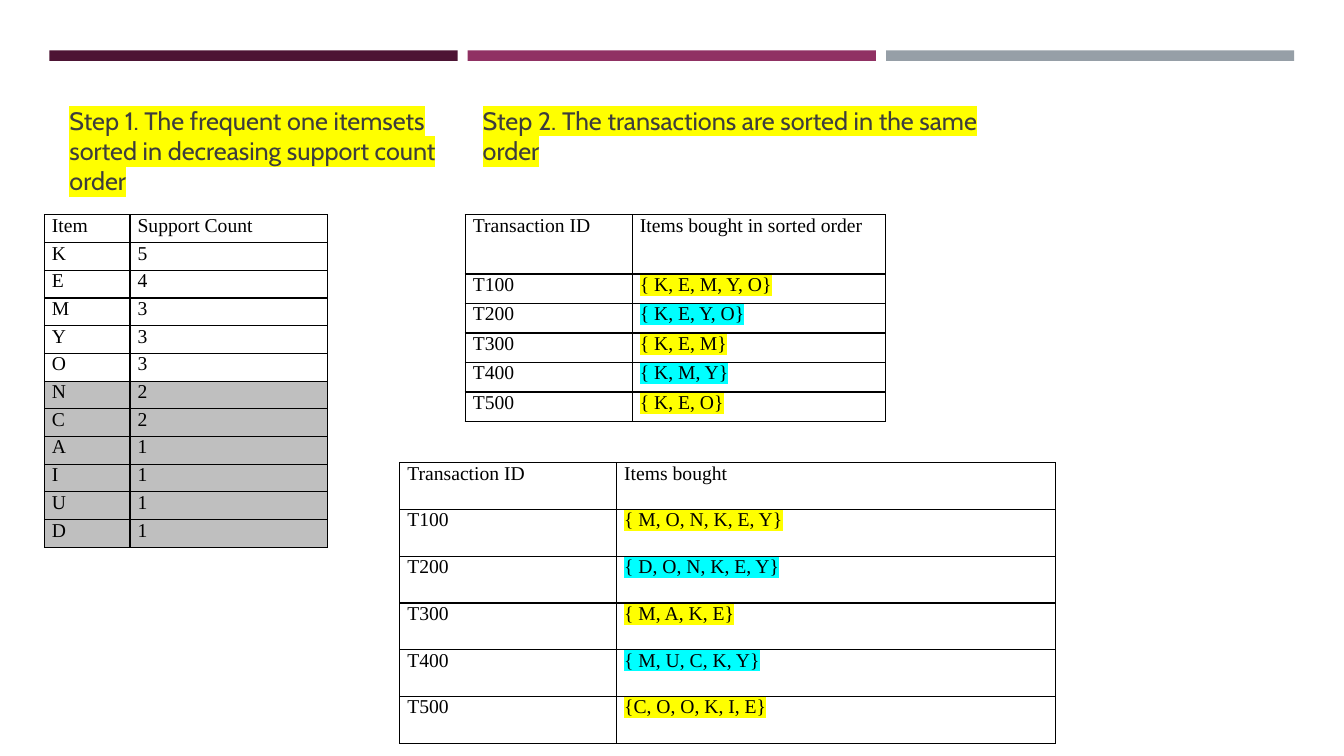
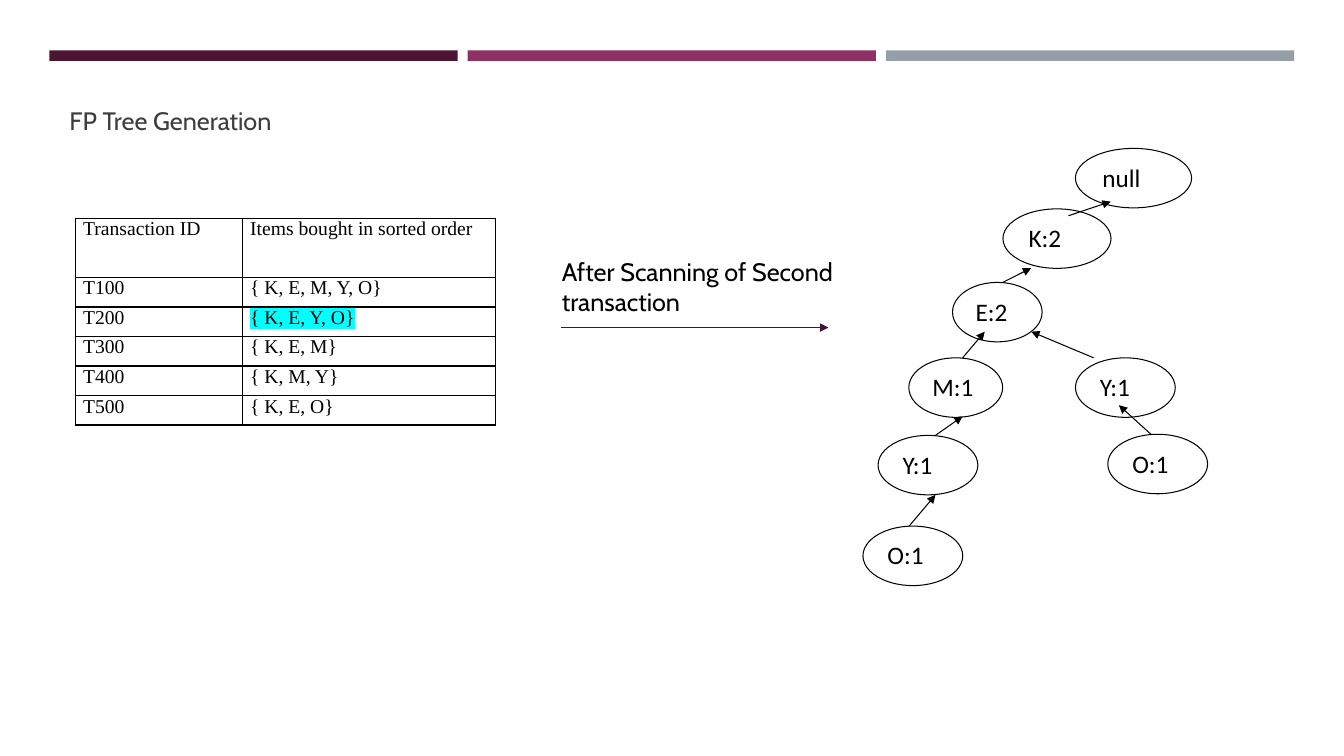
"""Build two slides on FP-tree growth: sorted itemsets and the tree after two scans."""
import pptx
import pptx.dml.color
import pptx.enum.shapes
import pptx.enum.text
import pptx.oxml
import pptx.oxml.ns
import pptx.util

Pt = pptx.util.Pt
RGB = pptx.dml.color.RGBColor
qn = pptx.oxml.ns.qn
SHAPE = pptx.enum.shapes.MSO_SHAPE
LINE = pptx.enum.shapes.MSO_CONNECTOR.STRAIGHT
LEFT = pptx.enum.text.PP_ALIGN.LEFT
TOP = pptx.enum.text.MSO_ANCHOR.TOP
FIXED = pptx.enum.text.MSO_AUTO_SIZE.NONE
NS = pptx.oxml.ns.nsdecls("a")

BLACK = RGB(0x00, 0x00, 0x00)
WHITE = RGB(0xFF, 0xFF, 0xFF)
DARK = RGB(0x3D, 0x3D, 0x3D)
GREY = RGB(0xBF, 0xBF, 0xBF)
PLUM = RGB(0x45, 0x12, 0x2F)
YELLOW = RGB(0xFF, 0xFF, 0x00)
CYAN = RGB(0x00, 0xFF, 0xFF)
BANDS = [RGB(0x4D, 0x14, 0x34), RGB(0x90, 0x31, 0x63), RGB(0x96, 0x9F, 0xA7)]

HEAD, SERIF, SANS = "Cabin", "Times New Roman", "Calibri"
LEFT_BOX = (42.4, 71.3, 295.2, 95.8)
RIGHT_BOX = (337.6, 71.3, 393.9, 95.8)

STEP_ONE = "Step 1. The frequent one itemsets sorted in decreasing support count order"
STEP_TWO = "Step 2. The transactions are sorted in the same order"
TREE_TITLE = "FP Tree Generation"
SCAN_NOTE = "After Scanning of Second transaction"

COUNTS = [
    ("Item", "Support Count"),
    ("K", "5"), ("E", "4"), ("M", "3"), ("Y", "3"), ("O", "3"), ("N", "2"),
    ("C", "2"), ("A", "1"), ("I", "1"), ("U", "1"), ("D", "1"),
]
SORTED = [
    ("Transaction ID", "Items bought in sorted order"),
    ("T100", "{ K, E, M, Y, O}"),
    ("T200", "{ K, E, Y, O}"),
    ("T300", "{ K, E, M}"),
    ("T400", "{ K, M, Y}"),
    ("T500", "{ K, E, O}"),
]
BOUGHT = [
    ("Transaction ID", "Items bought"),
    ("T100", "{ M, O, N, K, E, Y}"),
    ("T200", "{ D, O, N, K, E, Y}"),
    ("T300", "{ M, A, K, E}"),
    ("T400", "{ M, U, C, K, Y}"),
    ("T500", "{C, O, O, K, I, E}"),
]
STRIPES = {1: YELLOW, 2: CYAN, 3: YELLOW, 4: CYAN, 5: YELLOW}
SORT_COLS, SORT_ROWS = (119.3, 180.7), [42.2] + [21.1] * 5

NODE_H = 42.5
NODES = [
    ("null", 768.2, 106, 83),
    ("K:2", 716.4, 149.2, 77.2),
    ("E:2", 680.4, 201.7, 64),
    ("M:1", 649.2, 255.6, 67),
    ("Y:1", 627.2, 311, 71.3),
    ("O:1", 616.4, 375.8, 71.3),
    ("Y:1", 768.2, 255.6, 71.3),
    ("O:1", 791.3, 310.2, 71.3),
]
LINKS = [
    (763.2, 154.1, 793.4, 144),
    (716.4, 201.6, 736.6, 191.5),
    (687.6, 255.6, 703.4, 236.9),
    (668.2, 311, 687.6, 297.4),
    (649.4, 375.8, 668.2, 353.5),
    (822.2, 310.3, 799.2, 289.4),
    (781.2, 255.6, 736.6, 236.9),
]


def write(para, text, size, face, color=BLACK, mark=None):
    """Add one styled run, with an optional highlight."""
    para.alignment = LEFT
    run = para.add_run()
    run.text = text
    font = run.font
    font.size, font.bold = Pt(size), False
    font.color.rgb = color
    font.name = face
    if mark is not None:
        tint = pptx.oxml.parse_xml(
            f'<a:highlight {NS}><a:srgbClr val="{mark}"/></a:highlight>')
        run._r.get_or_add_rPr().find(qn("a:solidFill")).addnext(tint)


def place(shape, box):
    """Set the place and size of a shape."""
    shape.left, shape.top, shape.width, shape.height = map(Pt, box)


def head(holder, text, box, mark=None):
    """Fill a placeholder with a step heading."""
    place(holder, box)
    frame = holder.text_frame
    frame.word_wrap, frame.auto_size = True, FIXED
    frame.vertical_anchor = TOP
    para = frame.paragraphs[0]
    props = para._p.get_or_add_pPr()
    props.set("marL", "0")
    props.set("indent", "0")
    props.append(pptx.oxml.parse_xml(f"<a:buNone {NS}/>"))
    para.space_before, para.space_after = Pt(0), Pt(6)
    write(para, text, 18, HEAD, DARK, mark)


def edge(cell):
    """Draw a black line on each side of a cell."""
    props = cell._tc.get_or_add_tcPr()
    for pos, side in enumerate("LRTB"):
        props.insert(pos, pptx.oxml.parse_xml(
            f'<a:ln{side} {NS} w="{Pt(1)}"><a:solidFill>'
            f'<a:srgbClr val="{BLACK}"/></a:solidFill></a:ln{side}>'))


def grid(slide, left, top, cols, highs, rows, marks, shade=None):
    """Add a ruled table; rows from shade on are grey."""
    frame = slide.shapes.add_table(len(rows), len(cols), Pt(left), Pt(top),
                                   Pt(sum(cols)), Pt(sum(highs)))
    table = frame.table
    table.first_row = table.horz_banding = False
    for col, wide in zip(table.columns, cols):
        col.width = Pt(wide)
    for r, (texts, high) in enumerate(zip(rows, highs)):
        table.rows[r].height = Pt(high)
        for c, text in enumerate(texts):
            cell = table.cell(r, c)
            cell.margin_left = cell.margin_right = Pt(5.4)
            cell.margin_top = cell.margin_bottom = Pt(0)
            if shade and r >= shade:
                cell.fill.solid()
                cell.fill.fore_color.rgb = GREY
            else:
                cell.fill.background()
            edge(cell)
            write(cell.text_frame.paragraphs[0], text, 14, SERIF,
                  mark=marks.get(r) if c else None)


def arrow(shapes, ends, color, width):
    """Add a straight line with a triangle at its end."""
    link = shapes.add_connector(LINE, *map(Pt, ends))
    link.line.color.rgb = color
    link.line.width = Pt(width)
    props = link._element.spPr
    props.find(qn("a:ln")).append(
        pptx.oxml.parse_xml(f'<a:tailEnd {NS} type="triangle"/>'))
    props.append(pptx.oxml.parse_xml(f"<a:effectLst {NS}/>"))


def node(shapes, text, left, top, wide):
    """Add one oval of the tree."""
    oval = shapes.add_shape(SHAPE.OVAL, *map(Pt, (left, top, wide, NODE_H)))
    oval.shadow.inherit = False
    oval.fill.solid()
    oval.fill.fore_color.rgb = WHITE
    oval.line.color.rgb = BLACK
    oval.line.width = Pt(0.75)
    frame = oval.text_frame
    frame.vertical_anchor = TOP
    para = frame.paragraphs[0]
    para.space_after = Pt(10)
    write(para, text, 18, SANS)


def brand(deck, slide):
    """Put the three bands on the slide master."""
    tree = deck.slide_master._element.cSld.spTree
    for i, color in enumerate(BANDS):
        band = slide.shapes.add_shape(
            SHAPE.RECTANGLE, *map(Pt, (35.3 + 298.8 * i, 36, 291.6, 7.5)))
        band.shadow.inherit = False
        band.fill.solid()
        band.fill.fore_color.rgb = color
        band.line.fill.background()
        band._element.nvSpPr.cNvPr.set("id", str(50 + i))
        tree.insert(2 + i, band._element)


def steps(slide):
    """Fill the slide with the two sorting steps."""
    head(slide.shapes.title, STEP_ONE, LEFT_BOX, YELLOW)
    head(slide.placeholders[1], STEP_TWO, RIGHT_BOX, YELLOW)
    grid(slide, 31.7, 153.5, (61.2, 141.1), [19.8] * 12, COUNTS, {}, shade=6)
    grid(slide, 332.4, 153.5, SORT_COLS, SORT_ROWS, SORTED, STRIPES)
    grid(slide, 285.6, 330.5, (154.9, 313.2), [33.4] * 6, BOUGHT, STRIPES)


def growth(slide):
    """Fill the slide with the tree after the second scan."""
    head(slide.shapes.title, TREE_TITLE, LEFT_BOX)
    grid(slide, 54, 156, SORT_COLS, SORT_ROWS, SORTED, {2: CYAN})
    arrow(slide.shapes, (401, 234, 591.8, 234), PLUM, 1)
    note = slide.shapes.add_textbox(*map(Pt, (394.2, 179.3, 222.5, 51)))
    note.text_frame.word_wrap = True
    write(note.text_frame.paragraphs[0], SCAN_NOTE, 18, HEAD)
    tree = slide.shapes.add_group_shape().shapes
    for item in NODES:
        node(tree, *item)
    for ends in LINKS:
        arrow(tree, ends, BLACK, 0.75)


def main():
    """Make the deck and save it."""
    deck = pptx.Presentation()
    deck.slide_width, deck.slide_height = Pt(960), Pt(540)
    first = deck.slides.add_slide(deck.slide_layouts[1])
    brand(deck, first)
    steps(first)
    growth(deck.slides.add_slide(deck.slide_layouts[5]))
    deck.save("out.pptx")


if __name__ == "__main__":
    main()
